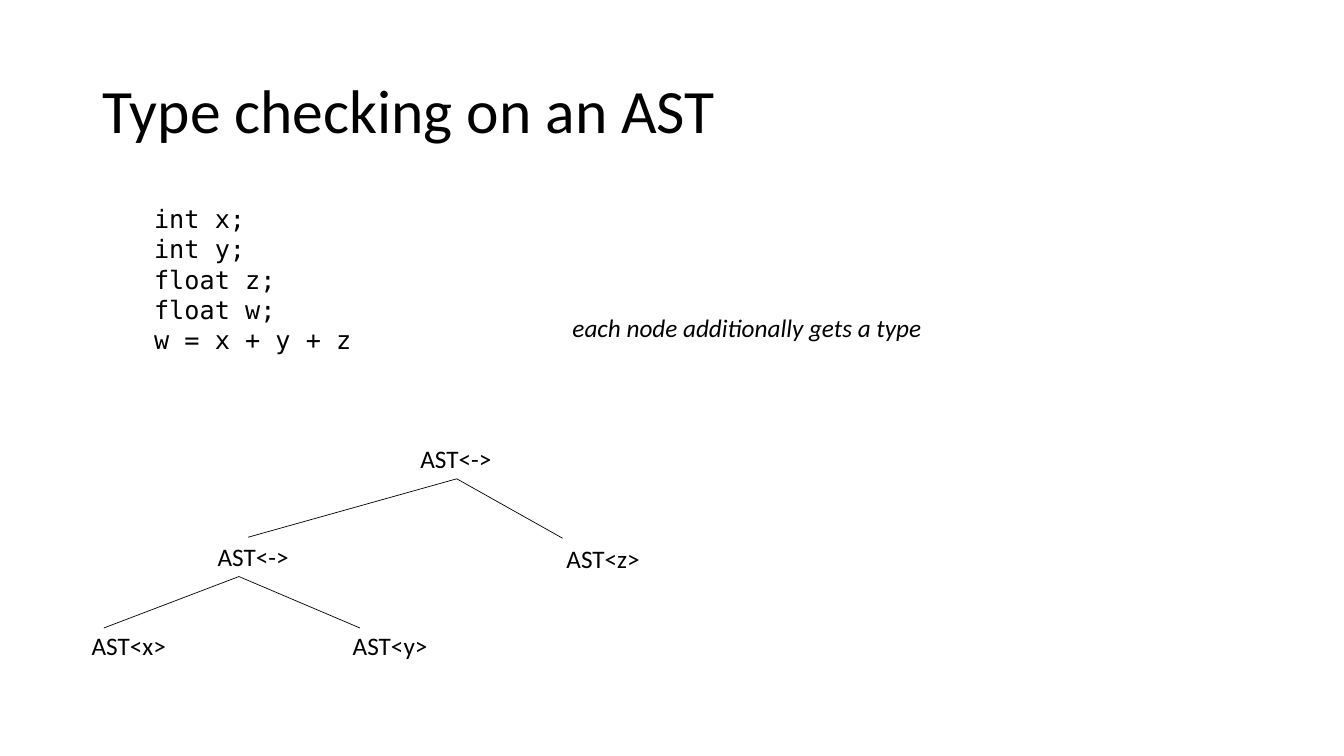
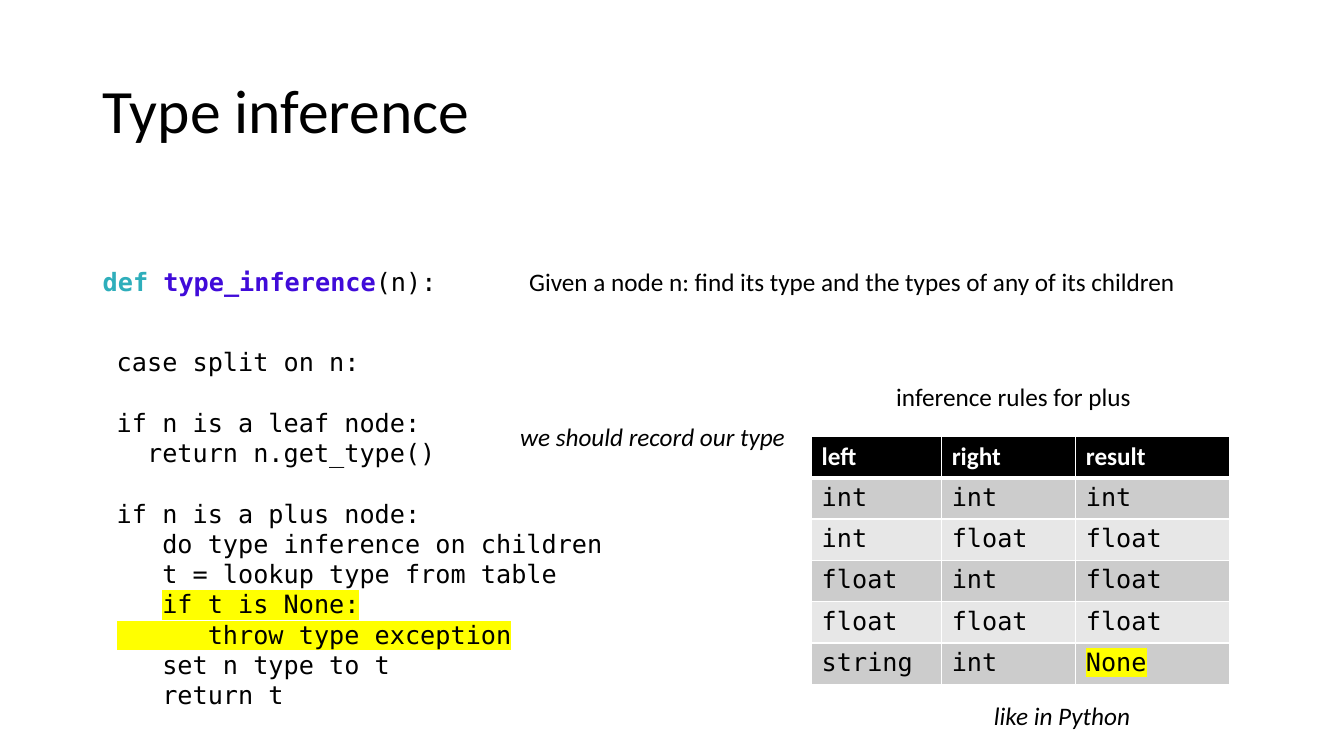
import pptx
import pptx.dml.color
import pptx.enum.shapes
import pptx.enum.text
import pptx.oxml
import pptx.oxml.ns
import pptx.util
from pptx.util import Inches

BLACK = pptx.dml.color.RGBColor(0x00, 0x00, 0x00)
WHITE = pptx.dml.color.RGBColor(0xFF, 0xFF, 0xFF)
KEYWORD = pptx.dml.color.RGBColor(0x2E, 0xAE, 0xBB)
FUNCTION = pptx.dml.color.RGBColor(0x40, 0x0B, 0xD9)
DARK_BAND = pptx.dml.color.RGBColor(0xCC, 0xCC, 0xCC)
LIGHT_BAND = pptx.dml.color.RGBColor(0xE7, 0xE7, 0xE7)
MARKER = pptx.dml.color.RGBColor(0xFF, 0xFF, 0x00)

BODY_FONT = "Calibri"
CODE_FONT = "DejaVu Sans Mono"
TITLE_SIZE = 44
BODY_SIZE = 18
CODE_LINE = pptx.util.Pt(21.6)
LABEL_HEIGHT = 0.4


def make_element(tag, content="", attributes=""):
    namespace = pptx.oxml.ns.nsdecls("a")
    return pptx.oxml.parse_xml(f"<a:{tag} {namespace} {attributes}>{content}</a:{tag}>")


def color_xml(color):
    return f'<a:srgbClr val="{color}"/>'


def style_font(font, name=BODY_FONT, size=BODY_SIZE, color=BLACK, bold=False, italic=False):
    font.name = name
    font.size = pptx.util.Pt(size)
    font.color.rgb = color
    font.bold = bold
    font.italic = italic


def add_run(paragraph, text, color=None, bold=None, marked=False):
    run = paragraph.add_run()
    run.text = text
    if color is not None:
        run.font.color.rgb = color
    run.font.bold = bold
    if marked:
        run.font._element.append(make_element("highlight", color_xml(MARKER)))


def add_text_frame(slide, left, top, width, height, wrap=False):
    box = slide.shapes.add_textbox(Inches(left), Inches(top), Inches(width), Inches(height))
    frame = box.text_frame
    frame.word_wrap = wrap
    return frame


def add_label(slide, text, left, top, width, italic=False, wrap=False):
    frame = add_text_frame(slide, left, top, width, LABEL_HEIGHT, wrap)
    paragraph = frame.paragraphs[0]
    add_run(paragraph, text)
    style_font(paragraph.font, italic=italic)


def add_code(slide, blocks, left, top, width, height):
    """Write blocks of code lines, one line apart; a line is a list of runs."""
    frame = add_text_frame(slide, left, top, width, height)
    paragraph = None
    for block in blocks:
        for index, line in enumerate(block):
            if paragraph is None:
                paragraph = frame.paragraphs[0]
            else:
                paragraph = frame.add_paragraph()
                if index == 0:
                    paragraph.space_before = CODE_LINE
            for text, options in line:
                add_run(paragraph, text, **options)
            style_font(paragraph.font, CODE_FONT)


def plain(*lines):
    return [[(line, {})] for line in lines]


def add_titled_slide(presentation, title):
    slide = presentation.slides.add_slide(presentation.slide_layouts[6])
    frame = add_text_frame(slide, 0.92, 0.4, 11.5, 1.45, wrap=True)
    frame.vertical_anchor = pptx.enum.text.MSO_ANCHOR.MIDDLE
    paragraph = frame.paragraphs[0]
    add_run(paragraph, title)
    paragraph.line_spacing = 0.9
    style_font(paragraph.font, size=TITLE_SIZE)
    return slide


def add_branch(slide, start, end):
    line = slide.shapes.add_connector(
        pptx.enum.shapes.MSO_CONNECTOR.STRAIGHT, *(Inches(value) for value in start + end))
    line.line.color.rgb = BLACK
    line.line.width = pptx.util.Pt(0.5)
    line._element.spPr.append(make_element("effectLst"))


def add_syntax_tree(slide, left, top):
    nodes = [
        ("AST<->", 3.26, 0, 0.91),
        ("AST<->", 1.25, 0.97, 0.91),
        ("AST<z>", 4.71, 0.99, 0.94),
        ("AST<x>", 0, 1.85, 0.95),
        ("AST<y>", 2.59, 1.85, 0.95),
    ]
    for text, x, y, width in nodes:
        add_label(slide, text, left + x, top + y, width)
    forks = [
        ((3.72, 0.4), [(1.65, 0.98), (4.77, 0.99)]),
        ((1.56, 1.37), [(0.22, 1.88), (2.76, 1.88)]),
    ]
    for (start_x, start_y), ends in forks:
        for end_x, end_y in ends:
            add_branch(slide, (left + start_x, top + start_y), (left + end_x, top + end_y))


def set_borders(cell, top_width, bottom_width):
    properties = cell._tc.get_or_add_tcPr()
    for side, points in (("L", 1), ("R", 1), ("T", top_width), ("B", bottom_width)):
        fill = f"<a:solidFill>{color_xml(WHITE)}</a:solidFill>"
        properties.append(make_element(f"ln{side}", fill, f'w="{pptx.util.Pt(points)}"'))


def add_rules_table(slide, rows, left, top, column_widths, row_height):
    frame = slide.shapes.add_table(
        len(rows), len(column_widths), Inches(left), Inches(top),
        Inches(sum(column_widths)), Inches(row_height * len(rows)))
    table = frame.table
    for column, width in zip(table.columns, column_widths):
        column.width = Inches(width)
    for row_index, values in enumerate(rows):
        table.rows[row_index].height = Inches(row_height)
        is_header = row_index == 0
        band = BLACK if is_header else DARK_BAND if row_index % 2 else LIGHT_BAND
        for column_index, value in enumerate(values):
            cell = table.cell(row_index, column_index)
            set_borders(cell, 3 if row_index == 1 else 1, 3 if is_header else 1)
            cell.fill.solid()
            cell.fill.fore_color.rgb = band
            paragraph = cell.text_frame.paragraphs[0]
            add_run(paragraph, value, marked=value == "None")
            if is_header:
                style_font(paragraph.font, color=WHITE, bold=True)
            else:
                style_font(paragraph.font, CODE_FONT)


def build_type_checking(presentation):
    slide = add_titled_slide(presentation, "Type checking on an AST")
    add_syntax_tree(slide, 0.81, 4.35)
    declarations = plain("int x;", "int y;", "float z;", "float w;", "w = x + y + z")
    add_code(slide, [declarations], 1.43, 1.97, 2.16, 1.62)
    add_label(slide, "each node additionally gets a type", 5.58, 3.05, 3.7, italic=True)


def build_type_inference(presentation):
    slide = add_titled_slide(presentation, "Type inference")
    signature = [
        ("def ", {"color": KEYWORD, "bold": True}),
        ("type_inference", {"color": FUNCTION, "bold": True}),
        ("(n):", {}),
    ]
    add_code(slide, [[signature]], 0.92, 2.59, 3.56, LABEL_HEIGHT)
    add_label(slide, "Given a node n: find its type and the types of any of its children",
              5.15, 2.59, 6.69)
    marked = {"marked": True}
    plus_case = [
        *plain("if n is a plus node:",
               "   do type inference on children",
               "   t = lookup type from table"),
        [("   ", {}), ("if t is None:", marked)],
        [("      throw type exception", marked)],
        *plain("   set n type to t", "   return t"),
    ]
    leaf_case = plain("if n is a leaf node:", "  return n.get_type()")
    add_code(slide, [plain("case split on n:"), leaf_case, plus_case], 1.06, 3.39, 5.03, 3.74)

    rules = [
        ("left", "right", "result"),
        ("int", "int", "int"),
        ("int", "float", "float"),
        ("float", "int", "float"),
        ("float", "float", "float"),
        ("string", "int", "None"),
    ]
    add_rules_table(slide, rules, 8.05, 4.33, (1.29, 1.33, 1.53), 0.41)
    add_label(slide, "inference rules for plus", 8.79, 3.73, 2.56)
    add_label(slide, "we should record our type", 5.06, 4.13, 3.15, italic=True, wrap=True)
    add_label(slide, "like in Python", 9.76, 6.9, 1.59, italic=True)


def main():
    presentation = pptx.Presentation()
    presentation.slide_width = Inches(13.33)
    presentation.slide_height = Inches(7.5)
    build_type_checking(presentation)
    build_type_inference(presentation)
    presentation.save("out.pptx")


if __name__ == "__main__":
    main()
